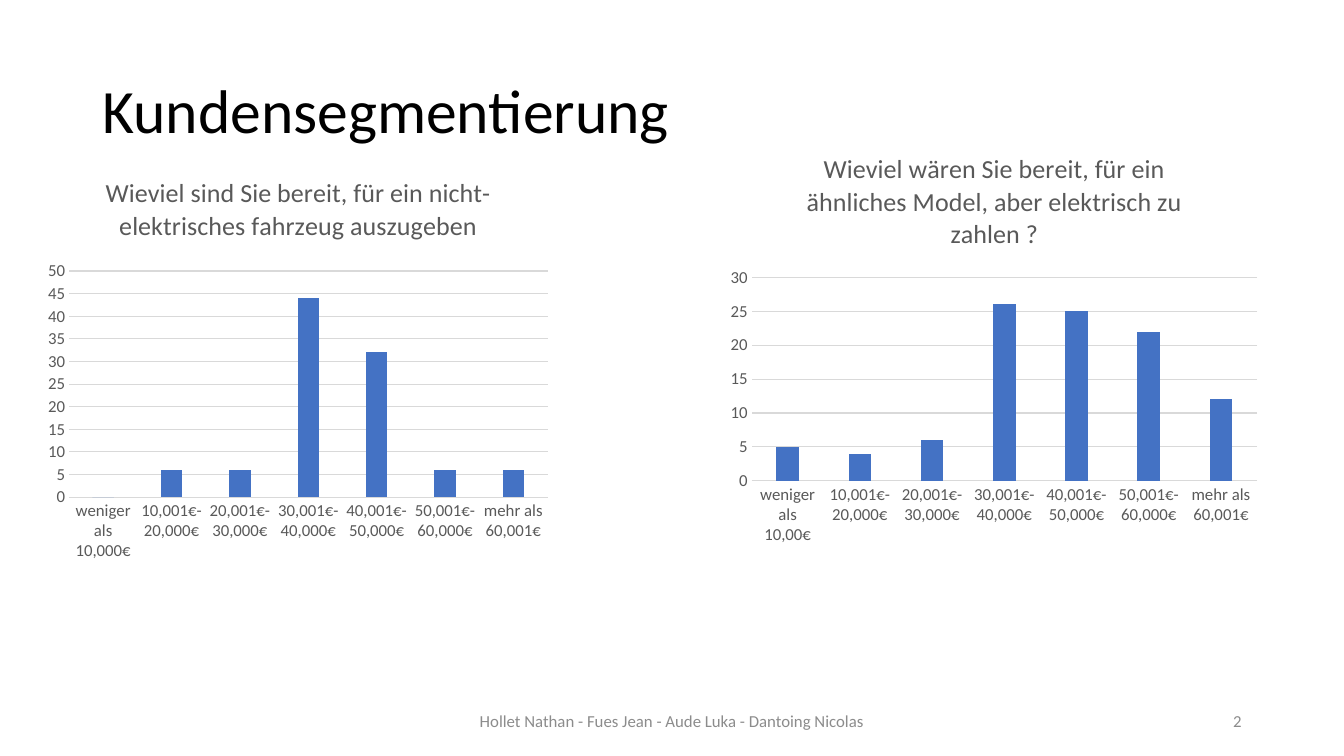
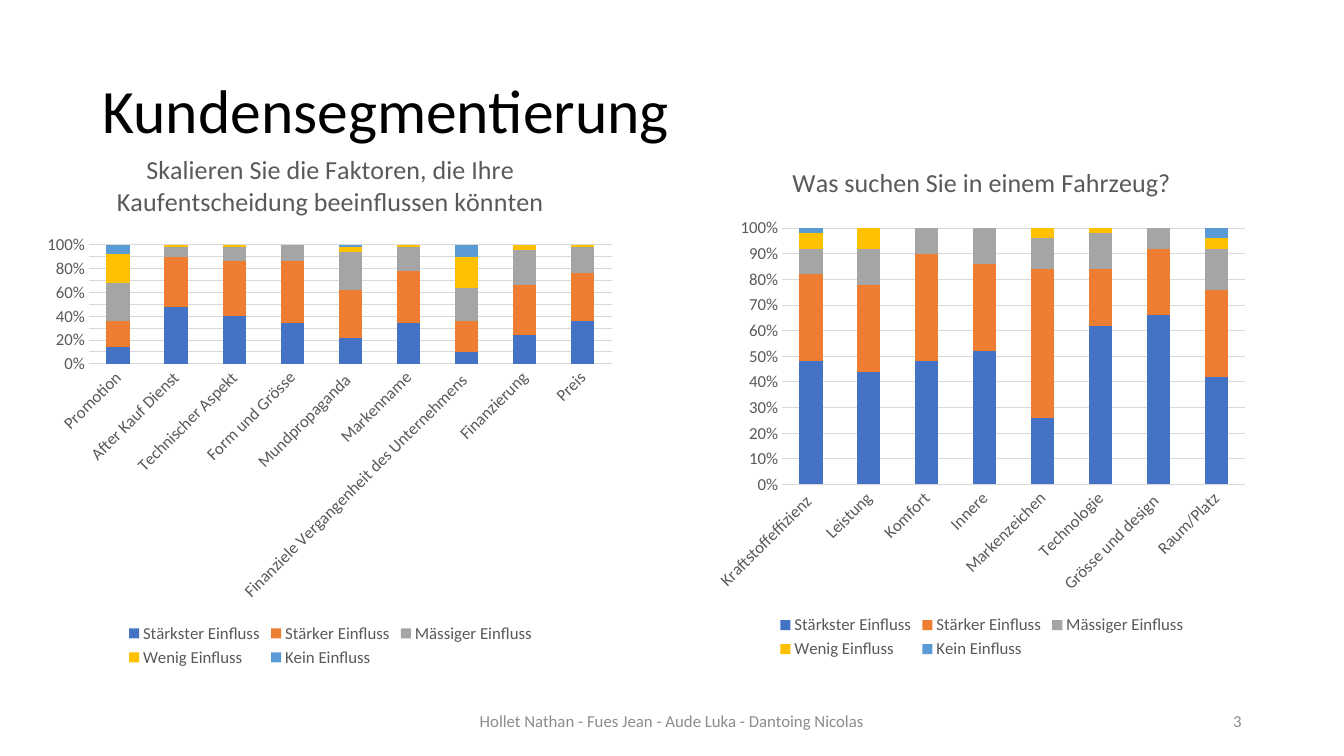
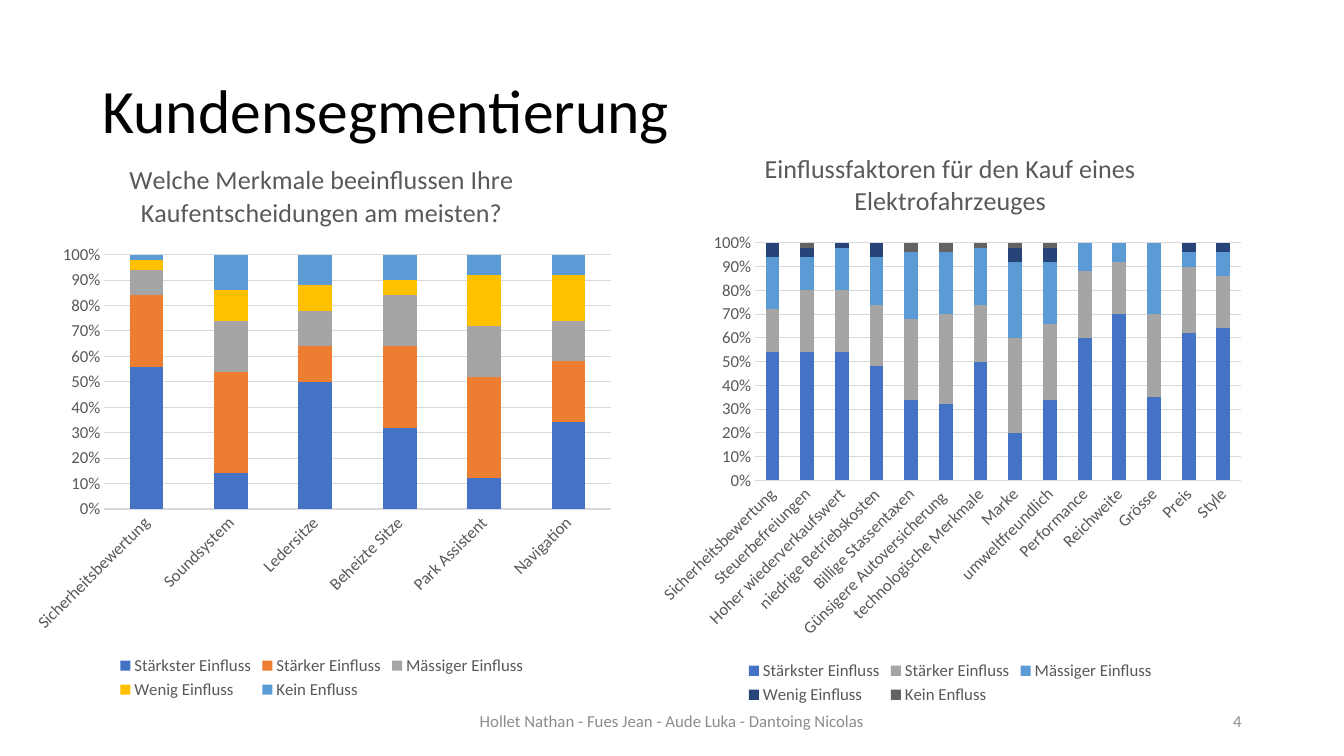
import pptx
import pptx.util
import pptx.dml.color
import pptx.enum.text
import pptx.enum.chart
import pptx.chart.data
import pptx.oxml

Cm, Pt = pptx.util.Cm, pptx.util.Pt
RGBColor = pptx.dml.color.RGBColor
Kind = pptx.enum.chart.XL_CHART_TYPE
Align = pptx.enum.text.PP_ALIGN

# Colours and font
FONT = "Calibri"
BLACK, DARK, GREY, LIGHT = map(
    RGBColor.from_string, ("000000", "595959", "8C8C8C", "D9D9D9"))
BLUE, ORANGE, SILVER, GOLD, SKY, NAVY, STONE = map(
    RGBColor.from_string,
    ("4472C4", "ED7D31", "A5A5A5", "FFC000", "5B9BD5", "264478", "636363"))
WARM = [BLUE, ORANGE, SILVER, GOLD, SKY]
COOL = [BLUE, SILVER, SKY, NAVY, STONE]

# Content
HEAD = "Kundensegmentierung"
TEAM = "Hollet Nathan - Fues Jean - Aude Luka - Dantoing Nicolas"
PRICES = ["10,001€-20,000€", "20,001€-30,000€", "30,001€-40,000€",
          "40,001€-50,000€", "50,001€-60,000€", "mehr als 60,001€"]
LEVELS = ["Stärkster Einfluss", "Stärker Einfluss", "Mässiger Einfluss",
          "Wenig Einfluss"]
KEIN = LEVELS + ["Kein Einfluss"]
ENFLUSS = LEVELS + ["Kein Enfluss"]

# Chart boxes in cm; lines: title lines; lean, foot: space left of and below
# the columns. Stacked answers add up to 100, so the last level is the rest.
SLIDES = [
    [dict(title="Wieviel sind Sie bereit, für ein nicht-elektrisches fahrzeug auszugeben",
          box=(0.94, 3.94, 13.16, 10.39), lines=2, lean=0.8, foot=1.8,
          cats=["weniger als 10,000€"] + PRICES, names=["Series 1"],
          rows=[[0, 6, 6, 44, 32, 6, 6]], tints=WARM, top=50),
     dict(title="Wieviel wären Sie bereit, für ein ähnliches Model, aber elektrisch zu zahlen ?",
          box=(18.14, 3.33, 13.84, 10.59), lines=3, lean=0.8, foot=1.8,
          cats=["weniger als 10,00€"] + PRICES, names=["Series 1"],
          rows=[[5, 4, 6, 26, 25, 22, 12]], tints=WARM, top=30)],
    [dict(title="Skalieren Sie die Faktoren, die Ihre Kaufentscheidung beeinflussen könnten",
          box=(0.94, 3.28, 14.78, 13.64), lines=2, lean=1.3, foot=7.75,
          cats=["Promotion", "After Kauf Dienst", "Technischer Aspekt",
                "Form und Grösse", "Mundpropaganda ", "Markenname",
                "Finanziele Vergangenheit des Unternehmens ",
                "Finanzierung", "Preis"],
          names=KEIN, tints=WARM,
          rows=[[14, 48, 40, 34, 22, 34, 10, 24, 36],
                [22, 42, 46, 52, 40, 44, 26, 42, 40],
                [32, 8, 12, 14, 32, 20, 28, 30, 22],
                [24, 2, 2, 0, 4, 2, 26, 4, 2]]),
     dict(title="Was suchen Sie in einem Fahrzeug?",
          box=(17.81, 3.63, 13.87, 13.08), lines=1, lean=1.9, foot=4.5,
          cats=["Kraftstoffeffizienz ", "Leistung", "Komfort", "Innere",
                "Markenzeichen", "Technologie", "Grösse und design ",
                "Raum/Platz"],
          names=KEIN, tints=WARM,
          rows=[[48, 44, 48, 52, 26, 62, 66, 42],
                [34, 34, 42, 34, 58, 22, 26, 34],
                [10, 14, 10, 14, 12, 14, 8, 16],
                [6, 8, 0, 0, 4, 2, 0, 4]])],
    [dict(title="Welche Merkmale beeinflussen Ihre Kaufentscheidungen am meisten?",
          box=(0.53, 3.53, 15.16, 14.2), lines=2, lean=2.1, foot=4.9,
          cats=["Sicherheitsbewertung", "Soundsystem", "Ledersitze",
                "Beheizte Sitze", "Park Assistent", "Navigation"],
          names=ENFLUSS, tints=WARM,
          rows=[[56, 14, 50, 32, 12, 34],
                [28, 40, 14, 32, 40, 24],
                [10, 20, 14, 20, 20, 16],
                [4, 12, 10, 6, 20, 18]]),
     dict(title="Einflussfaktoren für den Kauf eines Elektrofahrzeuges",
          box=(16.33, 3.23, 15.24, 14.63), lines=2, lean=2.7, foot=5.75,
          cats=["Sicherheitsbewertung", "Steuerbefreiungen",
                "Hoher wiederverkaufswert", "niedrige Betriebskosten",
                "Billige Stassentaxen", "Günsigere Autoversicherung ",
                "technologische Merkmale", "Marke", "umweltfreundlich",
                "Performance", "Reichweite", "Grösse", "Preis", "Style"],
          names=ENFLUSS, tints=COOL,
          rows=[[54, 54, 54, 48, 34, 32, 50, 20, 34, 60, 70, 35, 62, 64],
                [18, 26, 26, 26, 34, 38, 24, 40, 32, 28, 22, 35, 28, 22],
                [22, 14, 18, 20, 28, 26, 24, 32, 26, 12, 8, 30, 6, 10],
                [6, 4, 2, 6, 0, 0, 0, 6, 6, 0, 0, 0, 4, 4]])],
]


def style(font, size, color):
    font.name, font.size, font.bold = FONT, Pt(size), False
    font.color.rgb = color


def write(frame, text, size, color, align):
    frame.word_wrap = True
    frame.auto_size = pptx.enum.text.MSO_AUTO_SIZE.NONE
    frame.vertical_anchor = pptx.enum.text.MSO_ANCHOR.MIDDLE
    para = frame.paragraphs[0]
    para.alignment = align
    run = para.add_run()
    run.text = text
    style(run.font, size, color)
    return para


def label(slide, left, width, text, align):
    shape = slide.shapes.add_textbox(Cm(left), Cm(17.66), Cm(width), Cm(1.01))
    write(shape.text_frame, text, 12, GREY, align)


def place(chart, item):
    """Fix the inner plot area as fractions of the chart."""
    wide, high = item["box"][2:]
    lean, drop = item["lean"], 1.35 + 0.77 * item["lines"]
    parts = dict(x=lean / wide, y=drop / high,
                 w=(wide - lean - 0.3) / wide,
                 h=(high - drop - item["foot"]) / high)
    tags = "".join(f'<c:{k}Mode val="edge"/>' for k in "xy")
    tags += "".join(f'<c:{k} val="{v:.4f}"/>' for k, v in parts.items())
    ns = "http://schemas.openxmlformats.org/drawingml/2006/chart"
    node = pptx.oxml.parse_xml(
        f'<c:layout xmlns:c="{ns}"><c:manualLayout>'
        f'<c:layoutTarget val="inner"/>{tags}</c:manualLayout></c:layout>')
    area = chart._chartSpace.chart.plotArea
    for old in area.findall(f"{{{ns}}}layout"):
        area.remove(old)
    area.insert(0, node)


def draw(slide, item):
    rows = item["rows"]
    stack = len(rows) > 1
    if stack:
        rows = rows + [[100 - sum(col) for col in zip(*rows)]]
    data = pptx.chart.data.CategoryChartData()
    data.categories = item["cats"]
    for name, row in zip(item["names"], rows):
        data.add_series(name, row)
    kind = Kind.COLUMN_STACKED_100 if stack else Kind.COLUMN_CLUSTERED
    chart = slide.shapes.add_chart(kind, *map(Cm, item["box"]), data).chart
    style(chart.font, 10, BLACK)

    # Title and legend
    chart.has_title = True
    run = chart.chart_title.text_frame.paragraphs[0].add_run()
    run.text = item["title"]
    style(run.font, 18.6, DARK)
    chart.chart_title.include_in_layout = False
    chart.has_legend = stack
    if stack:
        chart.legend.position = pptx.enum.chart.XL_LEGEND_POSITION.BOTTOM
        chart.legend.include_in_layout = False
        style(chart.legend.font, 12, DARK)

    # Columns
    bars = chart.plots[0]
    bars.vary_by_categories = False
    bars.gap_width, bars.overlap = (150, 100) if stack else (219, -27)
    for ser, tint in zip(bars.series, item["tints"]):
        ser.format.fill.solid()
        ser.format.fill.fore_color.rgb = tint
        ser.invert_if_negative = False

    # Axes
    cat, val = chart.category_axis, chart.value_axis
    for axis in (cat, val):
        axis.major_tick_mark = pptx.enum.chart.XL_TICK_MARK.NONE
        axis.minor_tick_mark = pptx.enum.chart.XL_TICK_MARK.NONE
        style(axis.tick_labels.font, 12, DARK)
    val.has_major_gridlines = True
    for line in (cat.format.line, val.major_gridlines.format.line):
        line.color.rgb, line.width = LIGHT, Pt(0.75)
    val.format.line.fill.background()
    val.minimum_scale = 0
    val.maximum_scale = item.get("top", 1)
    val.major_unit = 0.1 if stack else 5
    val.tick_labels.number_format = "0%" if stack else "General"
    val.tick_labels.number_format_is_linked = False
    if stack:
        cat._element.txPr.bodyPr.set("rot", "-2700000")
    place(chart, item)


# Slides
deck = pptx.Presentation()
deck.slide_width, deck.slide_height = Cm(33.87), Cm(19.05)
for page, pair in enumerate(SLIDES, 2):
    slide = deck.slides.add_slide(deck.slide_layouts[5])
    head = slide.shapes.title
    head.left, head.top, head.width, head.height = map(
        Cm, (2.33, 1.01, 29.21, 3.68))
    write(head.text_frame, HEAD, 44, BLACK, Align.LEFT).line_spacing = 0.9
    label(slide, 11.22, 11.43, TEAM, Align.CENTER)
    label(slide, 23.92, 7.62, str(page), Align.RIGHT)
    for item in pair:
        draw(slide, item)
deck.save("out.pptx")
